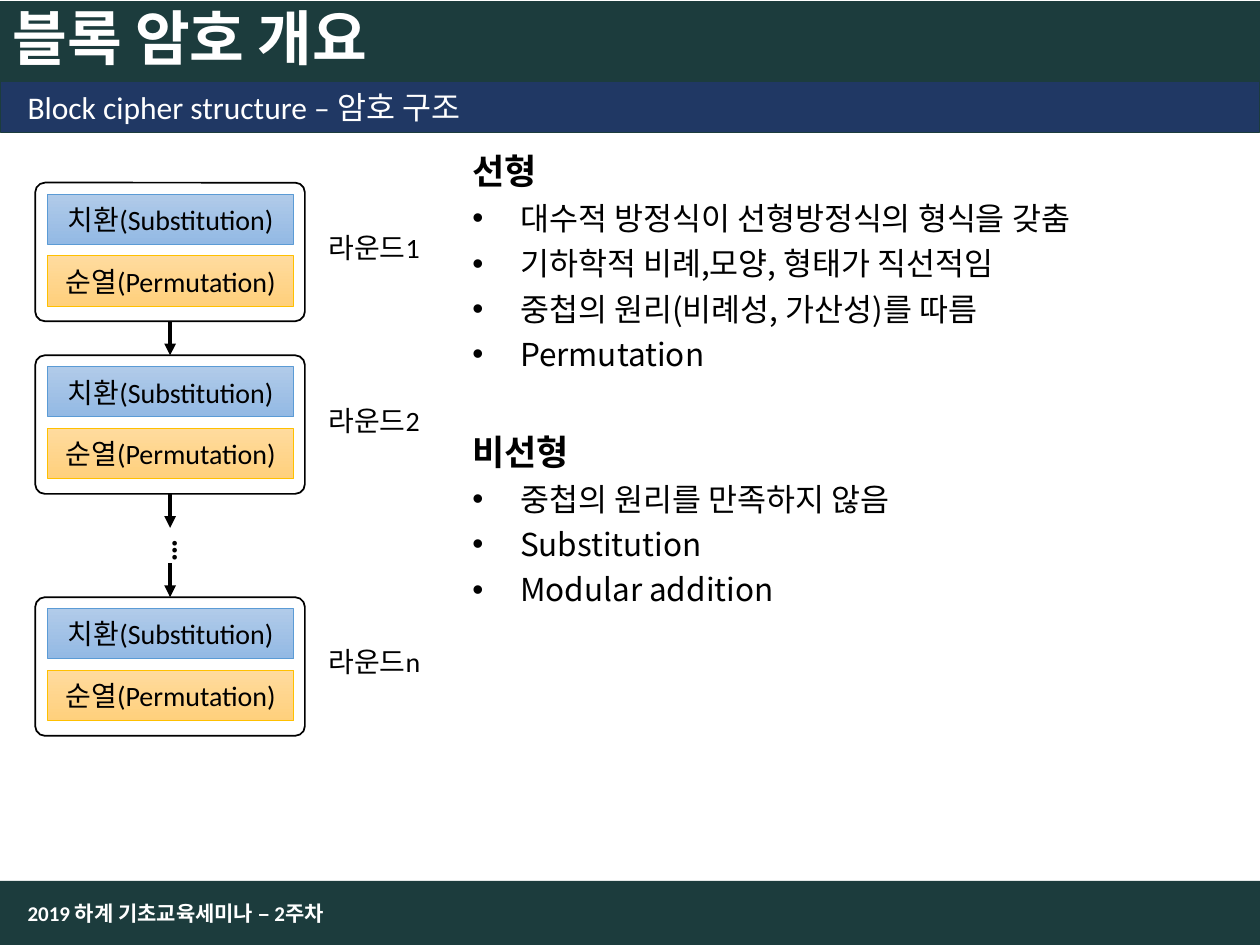
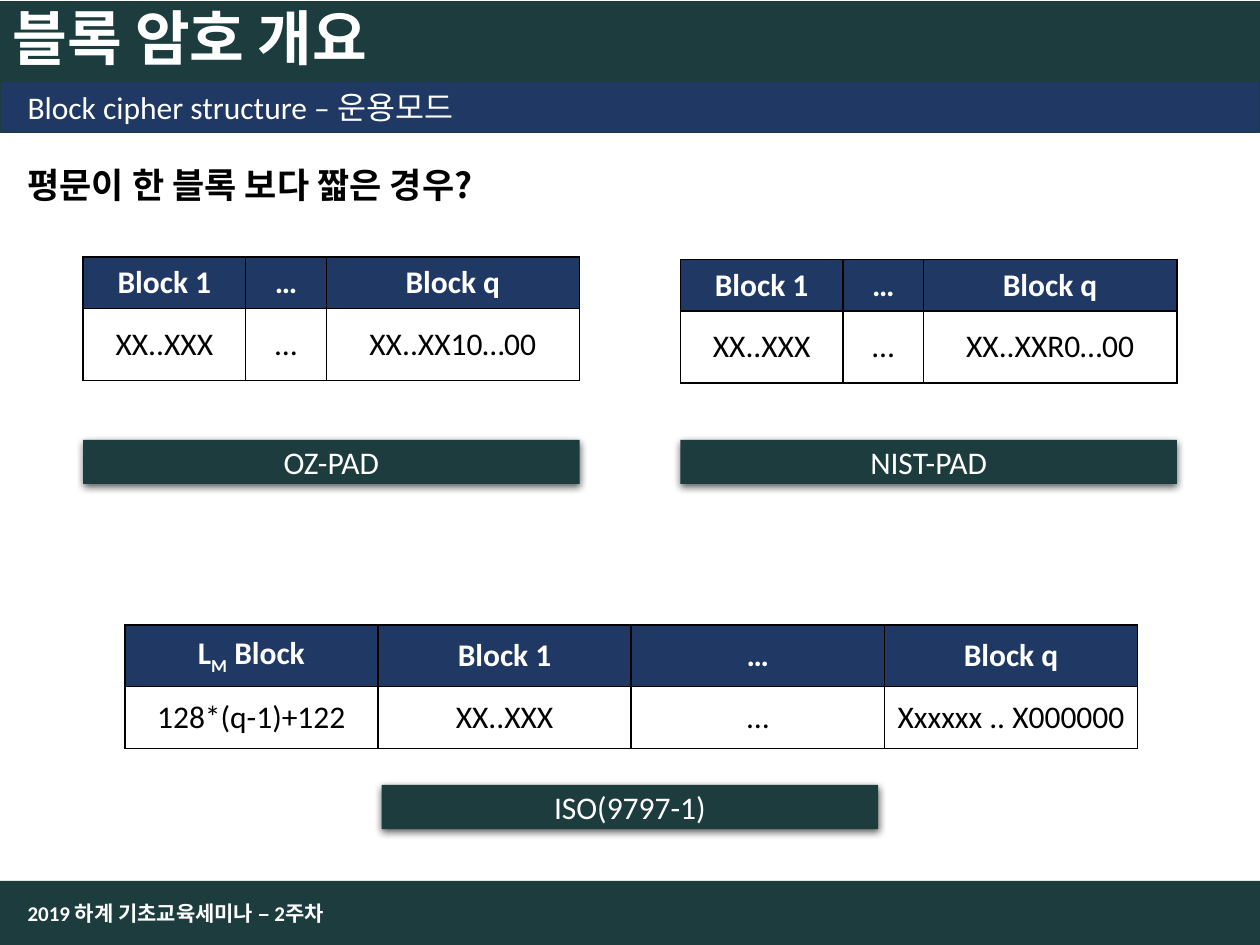
from lxml.etree import SubElement
from pptx import Presentation
from pptx.dml.color import RGBColor
from pptx.enum.shapes import MSO_CONNECTOR, MSO_SHAPE
from pptx.enum.text import MSO_ANCHOR, MSO_AUTO_SIZE, PP_ALIGN
from pptx.oxml import parse_xml
from pptx.oxml.ns import nsdecls, qn
from pptx.util import Inches, Pt

TEAL = RGBColor(0x1C, 0x3C, 0x3D)
NAVY = RGBColor(0x20, 0x38, 0x64)
WHITE = RGBColor(0xFF, 0xFF, 0xFF)
BLACK = RGBColor(0, 0, 0)
BLUE_LINE = RGBColor(0x5B, 0x9B, 0xD5)
BLUE_FADE = [RGBColor(0xB1, 0xCB, 0xE9), RGBColor(0x93, 0xB9, 0xE4)]
GOLD_LINE = RGBColor(0xFF, 0xC0, 0x00)
GOLD_FADE = [RGBColor(0xFF, 0xDB, 0x9E), RGBColor(0xFF, 0xD0, 0x7C)]
BODY_FONT = "Calibri"
KOREAN_FONT = "Noto Sans CJK KR"

ROUND_LEFT, ROUND_WIDTH, ROUND_HEIGHT = 0.28, 2.14, 1.1
ROUND_CENTER = ROUND_LEFT + ROUND_WIDTH / 2
ROUNDS = [("라운드1", 1.45), ("라운드2", 2.82), ("라운드n", 4.74)]
ARROW_LENGTH = 0.27
PAD_COLUMNS, PAD_ROWS = [1.29, 0.64, 2.01], [0.41, 0.57]
PAD_WIDTH = sum(PAD_COLUMNS)


def style_para(para, size, color, bold=False, font=BODY_FONT):
    para.font.name = font
    para.font.size = Pt(size)
    para.font.bold = bold
    para.font.color.rgb = color


def add_box(page, left, top, width, height, fill, line=None, line_width=0.5,
            kind=MSO_SHAPE.RECTANGLE):
    box = page.shapes.add_shape(kind, Inches(left), Inches(top), Inches(width), Inches(height))
    box.shadow.inherit = False
    if isinstance(fill, list):
        box.fill.gradient()
        box.fill.gradient_angle = 270
        for stop, color in zip(box.fill.gradient_stops, fill):
            stop.color.rgb = color
    else:
        box.fill.solid()
        box.fill.fore_color.rgb = fill
    if line is None:
        box.line.fill.background()
    else:
        box.line.color.rgb = line
        box.line.width = Pt(line_width)
    return box


def label_box(box, text, size, color):
    box.text_frame.vertical_anchor = MSO_ANCHOR.MIDDLE
    para = box.text_frame.paragraphs[0]
    para.text = text
    para.alignment = PP_ALIGN.CENTER
    style_para(para, size, color)


def add_text(page, left, top, width, height, text, size, color=BLACK, bold=False,
             font=BODY_FONT, middle=False):
    box = page.shapes.add_textbox(Inches(left), Inches(top), Inches(width), Inches(height))
    frame = box.text_frame
    frame.word_wrap = True
    if middle:
        frame.vertical_anchor = MSO_ANCHOR.MIDDLE
    else:
        frame.auto_size = MSO_AUTO_SIZE.SHAPE_TO_FIT_TEXT
    frame.text = text
    style_para(frame.paragraphs[0], size, color, bold, font)
    return frame


def add_page(deck, subtitle):
    page = deck.slides.add_slide(deck.slide_layouts[6])
    add_box(page, 0, 6.99, 10, 0.51, TEAL)
    add_box(page, 0, 0.01, 10, 0.64, TEAL)
    add_text(page, 0.12, 7.05, 8.18, 0.4, "2019 하계 기초교육세미나 – 2주차", 12, WHITE, True,
             middle=True)
    title = add_text(page, 0, 0, 10, 0.65, "블록 암호 개요", 34, WHITE, True, middle=True)
    title.margin_top = title.margin_bottom = 0
    title.paragraphs[0].line_spacing = 0.9
    title.paragraphs[0].space_before = Pt(10)
    add_box(page, 0, 0.65, 10, 0.4, NAVY, TEAL)
    add_text(page, 0.12, 0.65, 9.21, 0.4, f"Block cipher structure – {subtitle}", 18, WHITE)
    return page


def add_round(page, name, top):
    frame = add_box(page, ROUND_LEFT, top, ROUND_WIDTH, ROUND_HEIGHT, WHITE, BLACK, 1,
                    MSO_SHAPE.ROUNDED_RECTANGLE)
    frame.adjustments[0] = 0.07
    steps = [("치환(Substitution)", BLUE_FADE, BLUE_LINE),
             ("순열(Permutation)", GOLD_FADE, GOLD_LINE)]
    for index, (text, fade, line) in enumerate(steps):
        step = add_box(page, 0.38, top + 0.09 + 0.49 * index, 1.95, 0.4, fade, line)
        label_box(step, text, 16, BLACK)
    add_text(page, 2.51, top + 0.33, 1.32, 0.37, name, 16)
    return frame


def add_arrow(page, top, start=None, end=None):
    center = Inches(ROUND_CENTER)
    arrow = page.shapes.add_connector(MSO_CONNECTOR.STRAIGHT, center, Inches(top),
                                      center, Inches(top + ARROW_LENGTH))
    if start is not None:
        arrow.begin_connect(start, 2)
    if end is not None:
        arrow.end_connect(end, 0)
    arrow.line.color.rgb = BLACK
    arrow.line.width = Pt(2.25)
    properties = arrow._element.spPr
    SubElement(properties.find(qn("a:ln")), qn("a:tailEnd"), type="triangle")
    SubElement(properties, qn("a:effectLst"))


def add_topics(page, topics):
    frame = add_text(page, 3.65, 1.07, 6.34, 3.84, "", 20)
    para = frame.paragraphs[0]
    for index, (heading, points) in enumerate(topics):
        if index:
            para = frame.add_paragraph()
            para.space_before = Pt(28)
        para.text = heading
        para.line_spacing = 1.2
        style_para(para, 20, BLACK, True, KOREAN_FONT)
        for point in points:
            para = frame.add_paragraph()
            para.text = point
            para.line_spacing = 1.2
            style_para(para, 18, BLACK, font=KOREAN_FONT)
            add_bullet(para)


def add_bullet(para):
    properties = para._p.get_or_add_pPr()
    properties.set("marL", str(Inches(0.38)))
    properties.set("indent", str(-Inches(0.38)))
    defaults = properties.find(qn("a:defRPr"))
    for markup in ('buFont {} typeface="Arial"', 'buChar {} char="•"'):
        defaults.addprevious(parse_xml(f"<a:{markup.format(nsdecls('a'))}/>"))


def add_border(cell):
    properties = cell._tc.get_or_add_tcPr()
    for index, side in enumerate(("lnL", "lnR", "lnT", "lnB")):
        properties.insert(index, parse_xml(
            f'<a:{side} {nsdecls("a")} w="{Pt(1)}"><a:solidFill>'
            f'<a:srgbClr val="{BLACK}"/></a:solidFill></a:{side}>'))


def add_grid(page, left, top, widths, heights, rows):
    table = page.shapes.add_table(len(heights), len(widths), Inches(left), Inches(top),
                                  Inches(sum(widths)), Inches(sum(heights))).table
    table.horz_banding = False
    for column, width in zip(table.columns, widths):
        column.width = Inches(width)
    for row_index, (height, texts) in enumerate(zip(heights, rows)):
        header = row_index == 0
        table.rows[row_index].height = Inches(height)
        for column_index, text in enumerate(texts):
            cell = table.cell(row_index, column_index)
            cell.vertical_anchor = MSO_ANCHOR.MIDDLE
            cell.fill.solid()
            cell.fill.fore_color.rgb = NAVY if header else WHITE
            add_border(cell)
            para = cell.text_frame.paragraphs[0]
            para.alignment = PP_ALIGN.CENTER
            style_para(para, 18, WHITE if header else BLACK, header)
            for part_index, part in enumerate(text.split("_")):
                span = para.add_run()
                span.text = part
                if part_index == 1:
                    span.font._element.set("baseline", "-25000")


def add_caption(page, left, top, text):
    caption = add_box(page, left, top, PAD_WIDTH, 0.35, TEAL)
    label_box(caption, text, 18, WHITE)
    effects = caption._element.spPr.find(qn("a:effectLst"))
    effects.append(parse_xml(
        f'<a:outerShdw {nsdecls("a")} blurRad="{Pt(4.5)}" dist="{Pt(1.5)}" dir="5400000" '
        f'algn="ctr" rotWithShape="0"><a:srgbClr val="{BLACK}"><a:alpha val="63000"/>'
        '</a:srgbClr></a:outerShdw>'))


def build_structure_page(deck):
    page = add_page(deck, "암호 구조")
    first, second, last = [add_round(page, name, top) for name, top in ROUNDS]
    first_top, second_top, last_top = [top for name, top in ROUNDS]
    add_arrow(page, first_top + ROUND_HEIGHT, first, second)
    add_arrow(page, last_top - ARROW_LENGTH, end=last)
    dots = add_text(page, 1.17, 4.18, 0.5, 0.29, "…", 18, bold=True)
    dots._txBody.bodyPr.set("vert", "eaVert")
    add_arrow(page, second_top + ROUND_HEIGHT, second)
    add_topics(page, [
        ("선형", ["대수적 방정식이 선형방정식의 형식을 갖춤",
                "기하학적 비례,모양, 형태가 직선적임",
                "중첩의 원리(비례성, 가산성)를 따름",
                "Permutation"]),
        ("비선형", ["중첩의 원리를 만족하지 않음", "Substitution", "Modular addition"]),
    ])


def build_padding_page(deck):
    page = add_page(deck, "운용모드")
    question = add_text(page, 0.12, 1.18, 9.65, 0.48, "평문이 한 블록 보다 짧은 경우?", 20,
                        bold=True, font=KOREAN_FONT)
    question.paragraphs[0].line_spacing = 1.2
    pads = [("OZ-PAD", 0.66, 2.04, "XX..XX10…00"), ("NIST-PAD", 5.4, 2.06, "XX..XXR0…00")]
    for name, left, top, last_block in pads:
        add_caption(page, left, 3.49, name)
        add_grid(page, left, top, PAD_COLUMNS, PAD_ROWS,
                 [["Block 1", "…", "Block q"], ["XX..XXX", "…", last_block]])
    add_caption(page, 3.03, 6.23, "ISO(9797-1)")
    add_grid(page, 0.99, 4.96, [2.01] * 4, [0.49] * 2,
             [["L_M_ Block", "Block 1", "…", "Block q"],
              ["128*(q-1)+122", "XX..XXX", "…", "Xxxxxx .. X000000"]])


def main():
    deck = Presentation()
    deck.slide_width = Inches(10)
    deck.slide_height = Inches(7.5)
    build_structure_page(deck)
    build_padding_page(deck)
    deck.save("out.pptx")


if __name__ == "__main__":
    main()
